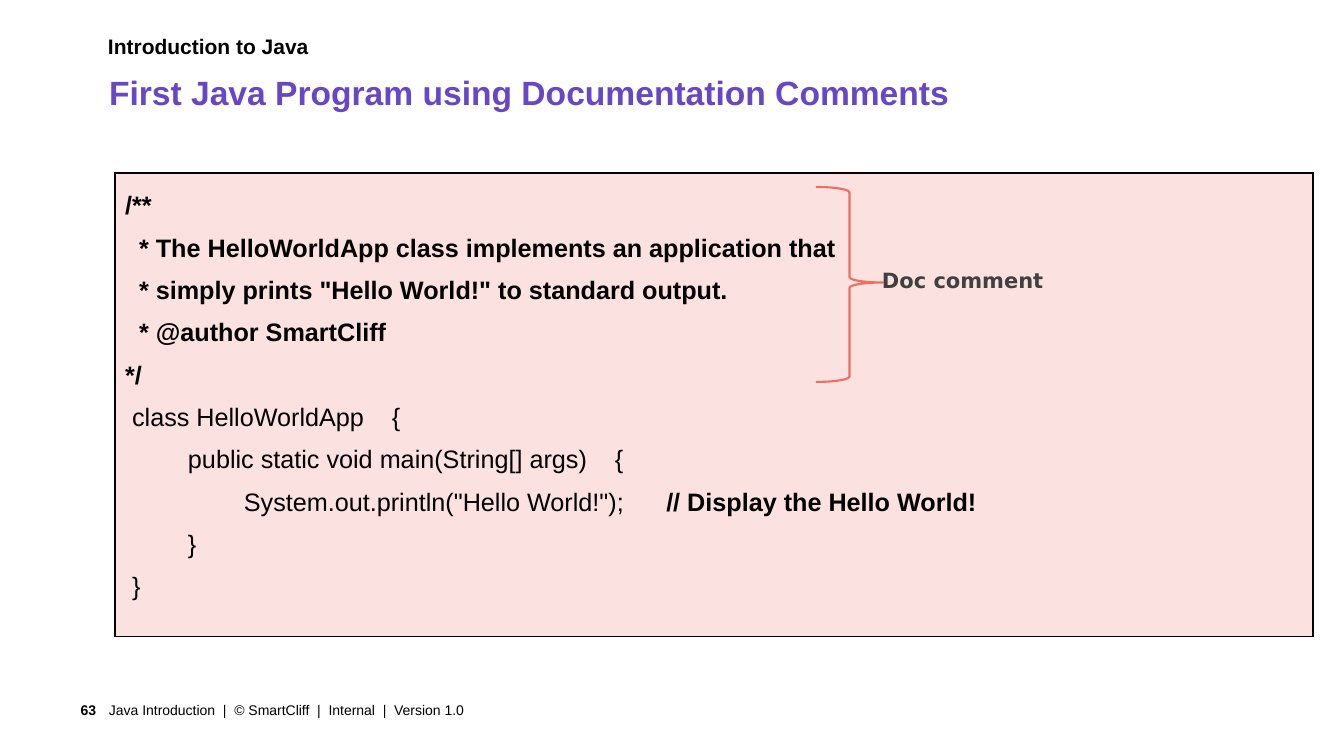
from lxml import etree
from pptx import Presentation
from pptx import util as u
from pptx.dml.color import RGBColor
from pptx.enum import shapes, text
from pptx.oxml.ns import qn

PX = 9071.43  # EMU per px at 100.8 px to the inch
COLORS = {
    "ink": "000000",
    "title": "6846C6",
    "panel": "FBE2E0",
    "brace": "EC6F62",
    "label": "404040",
}
SANS, LABEL_FONT = "Arial", "DejaVu Sans"

DOC_COMMENT = [
    "/**",
    "  * The HelloWorldApp class implements an application that",
    '  * simply prints "Hello World!" to standard output.',
    "  * @author SmartCliff",
    "*/",
]
# Each code line: statement, trailing comment
CODE = [
    (" class HelloWorldApp    {", ""),
    ("         public static void main(String[] args)    {", ""),
    ('                 System.out.println("Hello World!");      ',
     "// Display the Hello World!"),
    ("         }", ""),
    (" }", ""),
]


def px(n):
    return u.Emu(round(n * PX))


def rgb(name):
    return RGBColor.from_string(COLORS[name])


def add_run(p, content, size=18, color="ink", bold=False, font=SANS):
    r = p.add_run()
    r.text = content
    r.font.size = u.Pt(size)
    r.font.name = font
    r.font.bold = bold
    r.font.color.rgb = rgb(color)
    return r


class SlideBuilder:
    def __init__(self):
        self.prs = Presentation()
        self.prs.slide_width, self.prs.slide_height = px(1344), px(756)
        self.s = self.prs.slides.add_slide(self.prs.slide_layouts[6])

    def text(self, box, content, margins=(0, 0, 0, 0), middle=False,
             align=text.PP_ALIGN.LEFT, **fmt):
        tf = self.s.shapes.add_textbox(*map(px, box)).text_frame
        tf.word_wrap = True
        (tf.margin_left, tf.margin_top,
         tf.margin_right, tf.margin_bottom) = map(px, margins)
        tf.vertical_anchor = (text.MSO_ANCHOR.MIDDLE if middle
                              else text.MSO_ANCHOR.TOP)
        p = tf.paragraphs[0]
        p.alignment = align
        add_run(p, content, **fmt)

    def code_table(self, box, lines):
        table = self.s.shapes.add_table(1, 1, *map(px, box)).table
        table.first_row = table.horz_banding = False
        cell = table.cell(0, 0)
        tf = cell.text_frame
        for i, runs in enumerate(lines):
            p = tf.add_paragraph() if i else tf.paragraphs[0]
            p.line_spacing = 1.5
            for content, bold in runs:
                if content:
                    add_run(p, content, bold=bold)
        # Borders come before the fill in the cell properties
        tc_pr = cell._tc.get_or_add_tcPr()
        for side in ("lnL", "lnR", "lnT", "lnB"):
            ln = etree.SubElement(tc_pr, qn("a:" + side), w=str(u.Pt(1)))
            fill = etree.SubElement(ln, qn("a:solidFill"))
            etree.SubElement(fill, qn("a:srgbClr"), val=COLORS["ink"])
        cell.fill.solid()
        cell.fill.fore_color.rgb = rgb("panel")

    def brace(self, box, color, width):
        sp = self.s.shapes.add_shape(shapes.MSO_SHAPE.RIGHT_BRACE,
                                     *map(px, box))
        sp.shadow.inherit = False
        sp.fill.background()
        sp.line.color.rgb = rgb(color)
        sp.line.width = u.Pt(width)
        sp.adjustments[0], sp.adjustments[1] = 0.08, 0.49

    def save(self):
        self.prs.save("out.pptx")


def main():
    b = SlideBuilder()

    # Heading
    b.text((108, 33, 1204, 41), "Introduction to Java", size=15, bold=True)
    b.text((109, 72, 1204, 42),
           "First Java Program using Documentation Comments",
           size=24, color="title", bold=True)

    # Footer
    b.text((42, 694, 66, 31), "63", margins=(10, 5, 12, 5), middle=True,
           align=text.PP_ALIGN.RIGHT, size=10, bold=True)
    b.text((109, 694, 943, 31),
           "Java Introduction  |  © SmartCliff  |  Internal  |  Version 1.0",
           margins=(0, 5, 10, 5), middle=True, size=10)

    # Program listing
    lines = [[(line, True)] for line in DOC_COMMENT]
    lines += [[(code, False), (note, True)] for code, note in CODE]
    b.code_table((115, 173, 1198, 463), lines)

    # Callout for the documentation comment
    b.brace((816, 187, 67, 195), "brace", 1.5)
    b.text((882, 268, 220, 25), "Doc comment", size=15, color="label",
           bold=True, font=LABEL_FONT)

    b.save()


if __name__ == "__main__":
    main()
